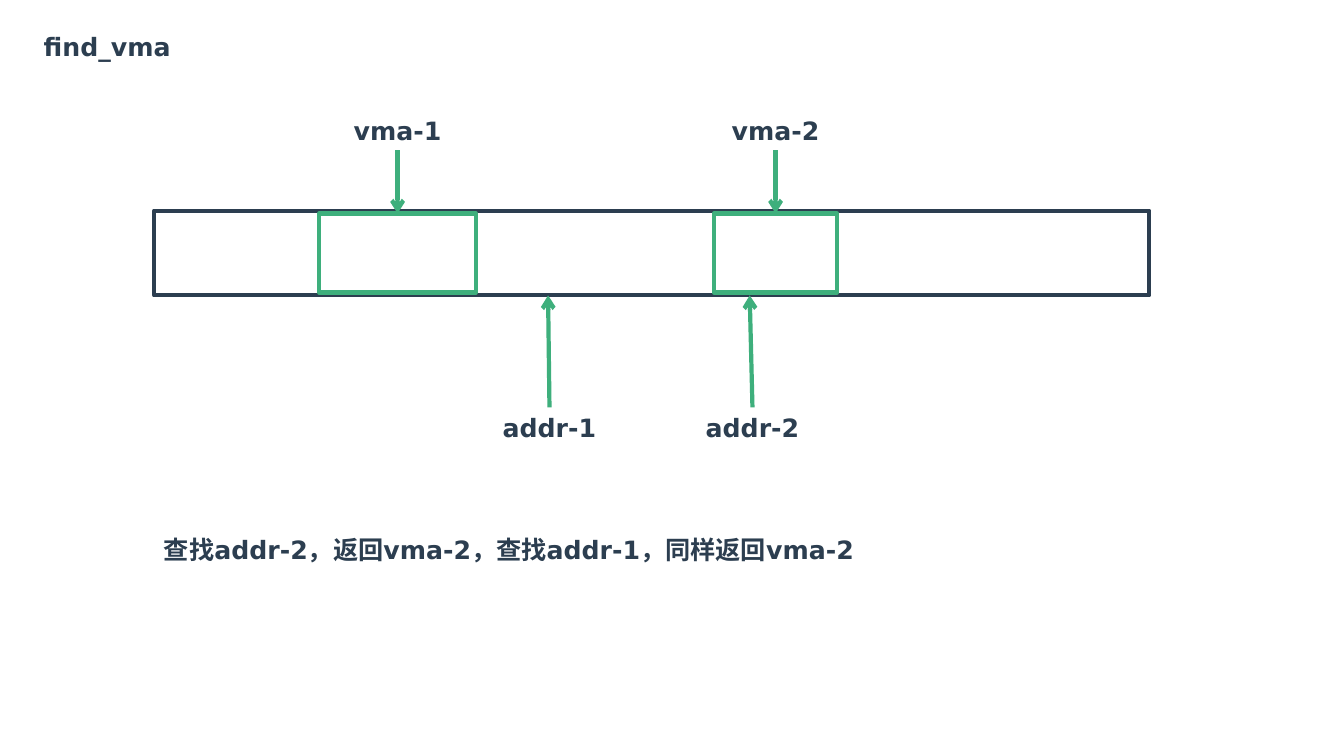
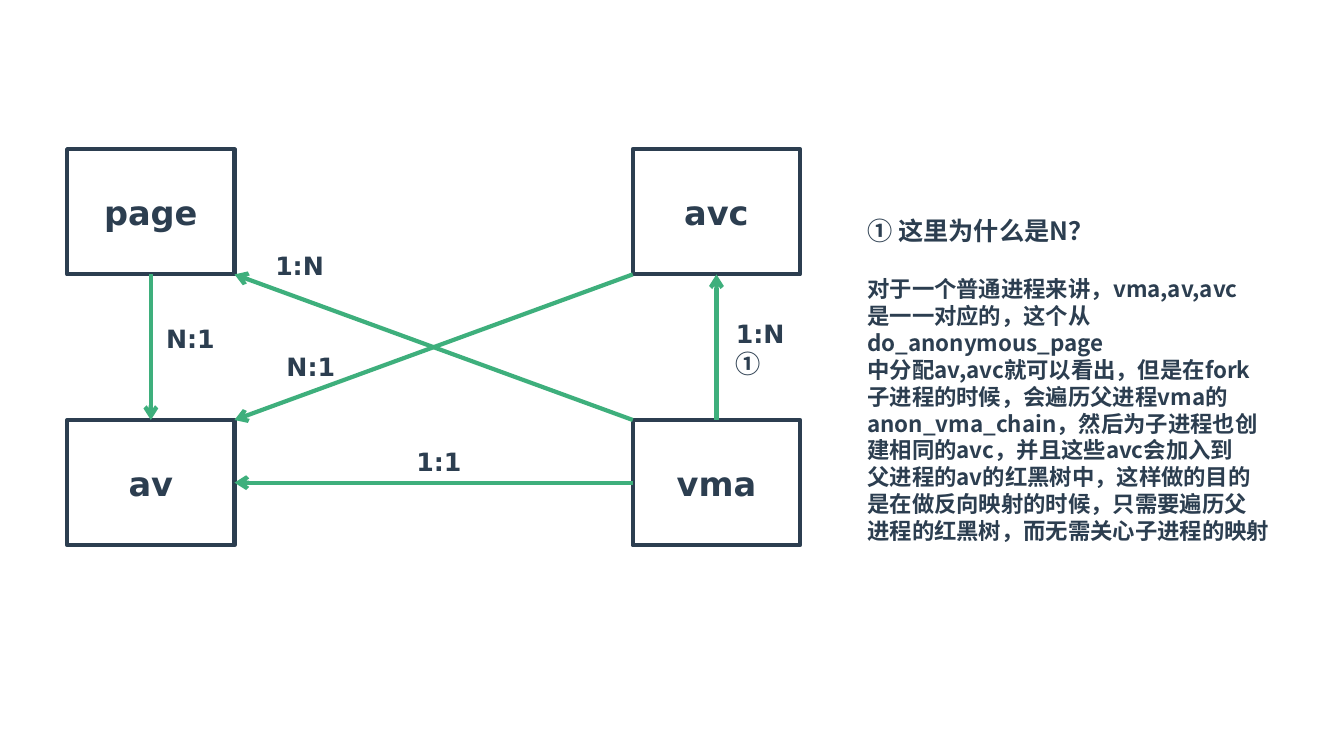
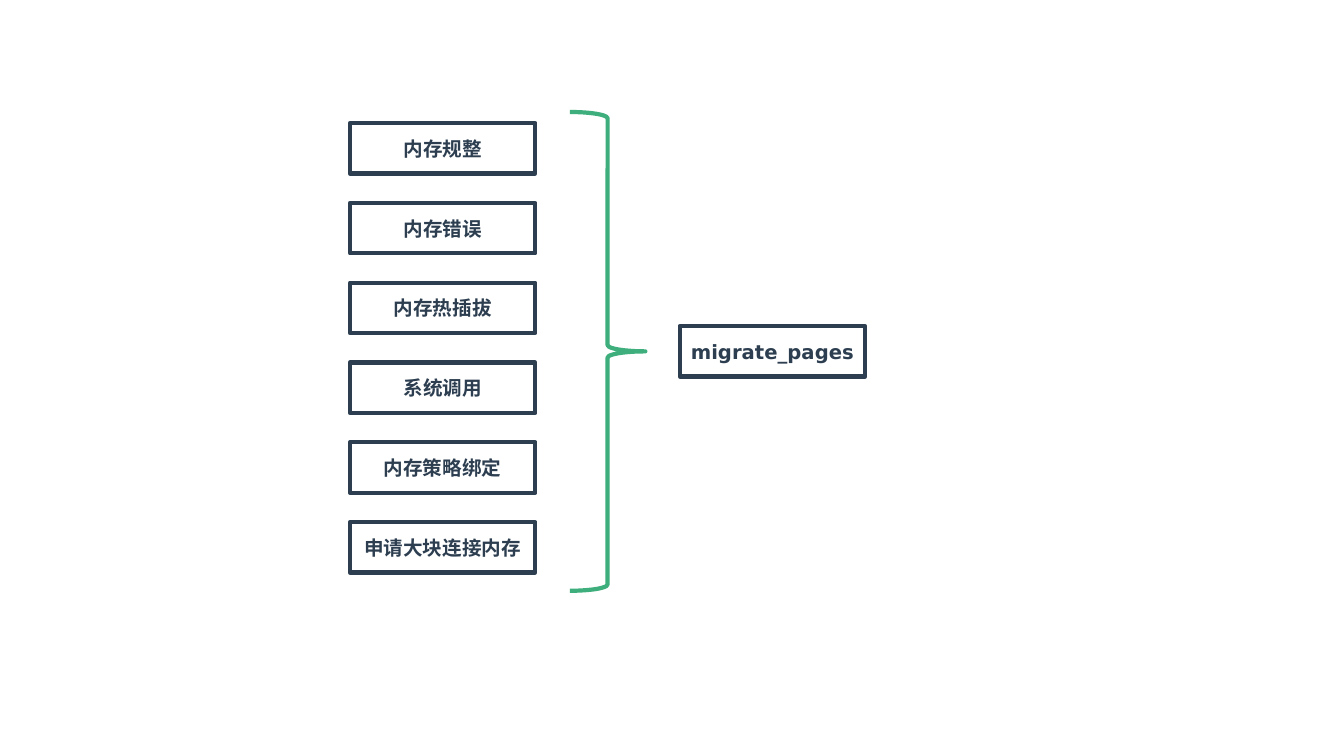
from lxml.etree import SubElement
from pptx import Presentation
from pptx.dml.color import RGBColor
from pptx.enum.shapes import MSO_CONNECTOR as CONN, MSO_SHAPE as SHAPE
from pptx.enum.text import MSO_ANCHOR as ANCHOR, MSO_AUTO_SIZE as FIT, PP_ALIGN as ALIGN
from pptx.oxml.ns import qn
from pptx.util import Pt

DARK, GREEN = "2C3E50", "3EAF7C"
LATIN, CJK = "DejaVu Sans", "Noto Sans CJK SC"
LINE_W = 3
LABEL_H = 29
TOP, LEFT, BOTTOM, RIGHT = range(4)  # connection sites of a rectangle
TITLE_ONLY, BLANK = 5, 6


def color(hex_text):
    return RGBColor.from_string(hex_text)


def style_run(r, size, font=LATIN):
    r.font.size, r.font.bold, r.font.name = Pt(size), True, font
    r.font.color.rgb = color(DARK)
    SubElement(r.font._element, qn("a:ea")).set("typeface", CJK)


def write(tf, lines, size=18, font=LATIN, align=ALIGN.LEFT, wrap=False, anchor=ANCHOR.TOP):
    """Fill a text frame, one paragraph for each line."""
    tf.word_wrap, tf.vertical_anchor, tf.auto_size = wrap, anchor, FIT.NONE
    tf.text = "\n".join(lines)
    for p in tf.paragraphs:
        p.alignment = align
        for r in p.runs:
            style_run(r, size, font)
    return tf


def add_text(slide, x, y, w, h, lines, **style):
    tb = slide.shapes.add_textbox(Pt(x), Pt(y), Pt(w), Pt(h))
    return write(tb.text_frame, lines, **style)


def add_label(slide, center, y, text, w=80):
    add_text(slide, center - w / 2, y, w, LABEL_H, [text], align=ALIGN.CENTER)


def add_outline(slide, x, y, w, h, line=DARK, text="", size=18, kind=SHAPE.RECTANGLE):
    sp = slide.shapes.add_shape(kind, Pt(x), Pt(y), Pt(w), Pt(h))
    sp.shadow.inherit = False
    sp.fill.background()
    sp.line.color.rgb, sp.line.width = color(line), Pt(LINE_W)
    if text:
        write(sp.text_frame, [text], size, align=ALIGN.CENTER, anchor=ANCHOR.MIDDLE)
    return sp


def add_arrow(slide, x1=0, y1=0, x2=0, y2=0):
    cx = slide.shapes.add_connector(CONN.STRAIGHT, Pt(x1), Pt(y1), Pt(x2), Pt(y2))
    cx.line.color.rgb, cx.line.width = color(GREEN), Pt(LINE_W)
    SubElement(cx.line._get_or_add_ln(), qn("a:tailEnd")).set("type", "arrow")
    SubElement(cx._element.spPr, qn("a:effectLst"))
    return cx


def link(slide, start, start_site, end, end_site):
    cx = add_arrow(slide)
    cx.begin_connect(start, start_site)
    cx.end_connect(end, end_site)


def add_title(slide, text):
    title = slide.shapes.title
    title.left, title.top, title.width, title.height = Pt(24), Pt(19), Pt(106), Pt(LABEL_H)
    write(title.text_frame, [text])


def address_space(slide, x, y, w, h):
    """A memory bar with its areas marked above and addresses below."""
    inset, above, below = 2, 43, 80
    add_outline(slide, x, y, w, h)
    for name, dx, area_w in (("vma-1", 118, 112), ("vma-2", 400, 88)):
        add_outline(slide, x + dx, y + inset, area_w, h - 2 * inset, GREEN)
        mid = x + dx + area_w / 2
        add_label(slide, mid, y - above - LABEL_H, name)
        add_arrow(slide, mid, y - above, mid, y + inset)
    for name, dx, lean in (("addr-1", 282.5, 1), ("addr-2", 427.5, 2)):
        add_label(slide, x + dx, y + h + below, name)
        add_arrow(slide, x + dx, y + h + below, x + dx - lean, y + h)


def relation_diagram(slide, x, y, w, h):
    """Four boxes at the corners, with arrows and cardinalities between them."""
    box_w, box_h = 119.5, 89.5
    right, low = x + w - box_w, y + h - box_h
    corners = {"page": (x, y), "avc": (right, y), "av": (x, low), "vma": (right, low)}
    boxes = {name: add_outline(slide, *at, box_w, box_h, text=name, size=24)
             for name, at in corners.items()}
    link(slide, boxes["vma"], TOP, boxes["avc"], BOTTOM)
    link(slide, boxes["vma"], LEFT, boxes["av"], RIGHT)
    link(slide, boxes["page"], BOTTOM, boxes["av"], TOP)
    inner, upper = x + box_w, y + box_h
    add_arrow(slide, right, low, inner, upper)
    add_arrow(slide, right, upper, inner, low)
    for text, dx, dy in (("1:N", 166, 69), ("1:1", 265.5, 209),
                         ("N:1", 88, 121), ("N:1", 174, 141)):
        add_label(slide, x + dx, y + dy, text, 50)
    tf = add_text(slide, x + 470.5, y + 117.5, 64, LABEL_H, ["1:N"], wrap=True)
    r = tf.paragraphs[0].add_run()
    r.text = "①"
    style_run(r, 18, CJK)


def explanation(slide, x, y, w, h, question, answer):
    tf = add_text(slide, x, y, w, h, [question, *answer], size=16, font=CJK, wrap=True)
    head, first = tf.paragraphs[:2]
    head.runs[0].font.size = Pt(18)
    first.space_before = Pt(21.5)


def cause_list(slide, x, y, w, h, causes, result):
    """Causes stacked at the left, gathered by a brace that points to the result."""
    box_w, box_h, brace_w, overhang = 132.5, 36, 54, 8
    pitch = (h - box_h) / (len(causes) - 1)
    for i, cause in enumerate(causes):
        add_outline(slide, x, y + i * pitch, box_w, box_h, text=cause, size=14)
    brace_h = h + 2 * overhang + 5
    add_outline(slide, x + box_w + 24.5, y - overhang, brace_w, brace_h, GREEN,
                kind=SHAPE.RIGHT_BRACE)
    middle = y - overhang + brace_h / 2
    add_outline(slide, x + w - box_w, middle - box_h / 2, box_w, box_h, text=result, size=14)


def main():
    prs = Presentation()
    prs.slide_width, prs.slide_height = Pt(960), Pt(540)

    def new_slide(layout):
        return prs.slides.add_slide(prs.slide_layouts[layout])

    slide = new_slide(TITLE_ONLY)
    add_title(slide, "find_vma")
    address_space(slide, 110, 150.5, 711, 60.5)
    add_text(slide, 110, 378, 507.5, LABEL_H,
             ["查找addr-2，返回vma-2，查找addr-1，同样返回vma-2"], wrap=True)

    slide = new_slide(BLANK)
    relation_diagram(slide, 48, 106.5, 523.5, 283)
    explanation(slide, 612.5, 150, 327, 225.5, "① 这里为什么是N？", [
        "对于一个普通进程来讲，vma,av,avc",
        "是一一对应的，这个从do_anonymous_page",
        "中分配av,avc就可以看出，但是在fork",
        "子进程的时候，会遍历父进程vma的",
        "anon_vma_chain，然后为子进程也创",
        "建相同的avc，并且这些avc会加入到",
        "父进程的av的红黑树中，这样做的目的",
        "是在做反向映射的时候，只需要遍历父",
        "进程的红黑树，而无需关心子进程的映射",
    ])

    slide = new_slide(BLANK)
    cause_list(slide, 250, 88, 368, 321,
               ["内存规整", "内存错误", "内存热插拔", "系统调用", "内存策略绑定", "申请大块连接内存"],
               "migrate_pages")

    prs.save("out.pptx")


if __name__ == "__main__":
    main()
